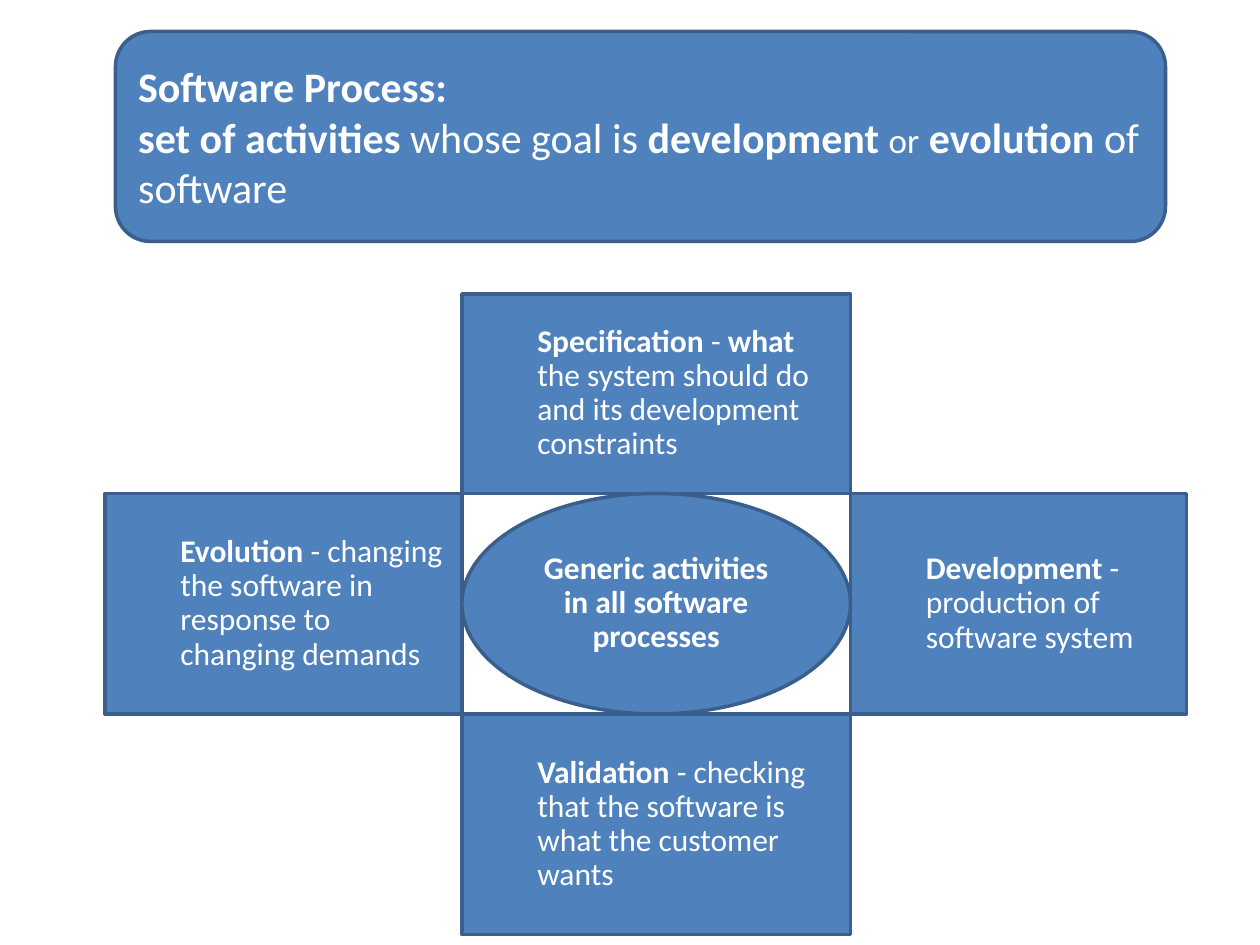
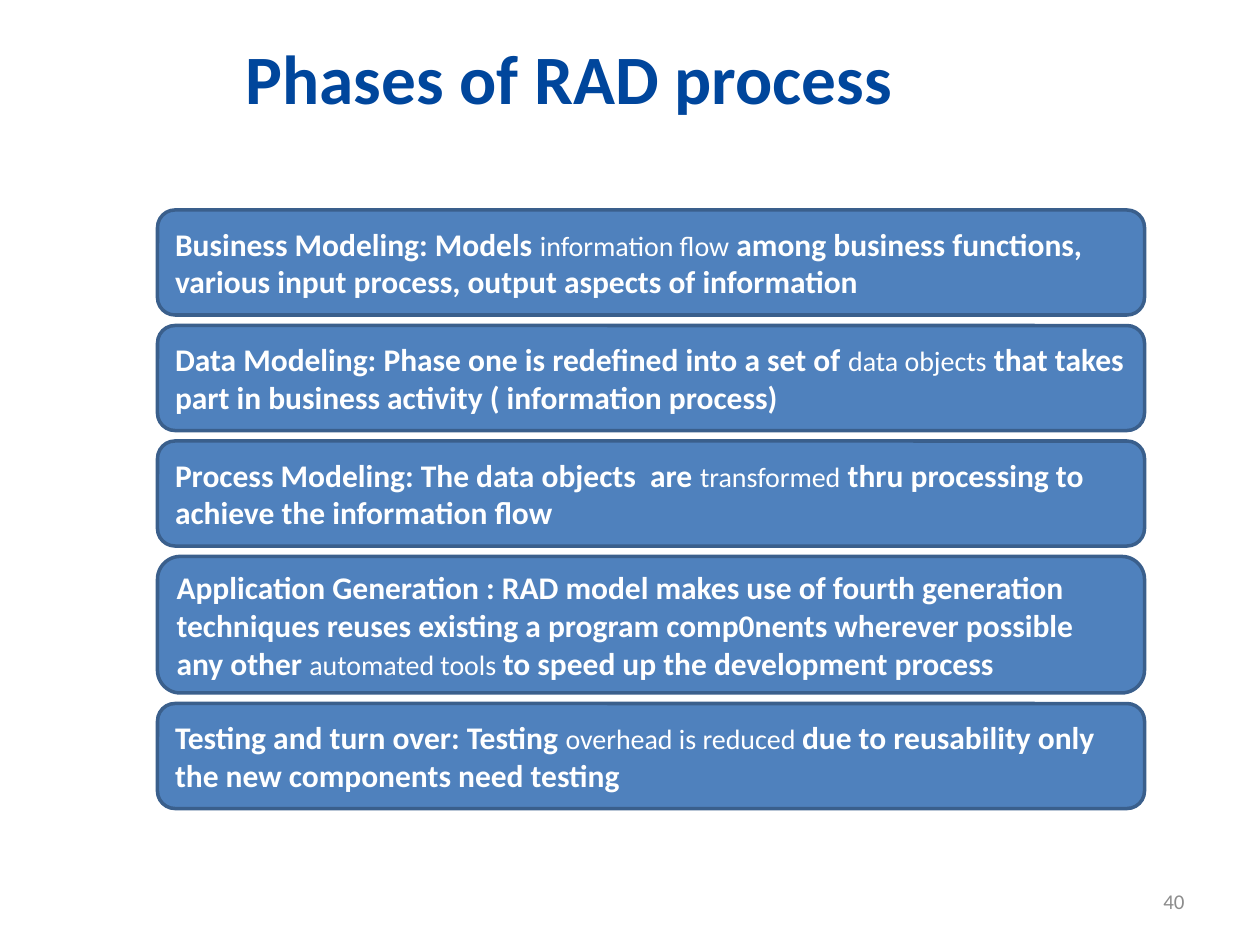
from pptx import Presentation
from pptx.dml.color import RGBColor
from pptx.enum.shapes import MSO_SHAPE
from pptx.enum.text import MSO_ANCHOR, PP_ALIGN
from pptx.util import Emu, Pt

ROUNDED = MSO_SHAPE.ROUNDED_RECTANGLE
RECTANGLE = MSO_SHAPE.RECTANGLE
OVAL = MSO_SHAPE.OVAL
MIDDLE = MSO_ANCHOR.MIDDLE
LEFT, CENTER, RIGHT = PP_ALIGN.LEFT, PP_ALIGN.CENTER, PP_ALIGN.RIGHT

EMU_PER_PX = 7620  # 120 px to the inch
FONT = "Calibri"
FILL, OUTLINE = "4F81BD", "3A5F8C"
WHITE, TITLE_BLUE, NUMBER_GREY = "FFFFFF", "00469C", "8C8C8C"
TITLE_ONLY, BLANK = 5, 6

# Text is split at "|" into runs that are bold and plain in turn
HEADER_LINES = [
    "Software Process:",
    "set of activities| whose goal is |development |or| evolution| of software",
]
SPECIFICATION = ("Specification| - |what| the system should do and its "
                 "development constraints")
DEVELOPMENT = "Development| - production of software system"
VALIDATION = "Validation| - checking that the software is what the customer wants"
EVOLUTION = "Evolution| - changing the software in response to changing demands"
PHASES = [
    ("Business Modeling: Models |information flow| among business functions, "
     "various input process, output aspects of information", 100),
    ("Data Modeling: Phase one is redefined into a set of |data objects| that "
     "takes part in business activity ( information process)", 100),
    ("Process Modeling: The data objects  are |transformed| thru processing to "
     "achieve the information flow", 100),
    ("Application Generation : RAD model makes use of fourth generation "
     "techniques reuses existing a program comp0nents wherever possible any "
     "other |automated tools |to speed up the development process", 130),
    ("Testing and turn over: Testing |overhead is reduced |due to reusability "
     "only the new components need testing", 100),
]


def color(hex_string):
    return RGBColor.from_string(hex_string)


def emu(box):
    return [Emu(length * EMU_PER_PX) for length in box]


def format_run(run, size, hex_color, bold):
    run.font.name = FONT
    run.font.size = Pt(size)
    run.font.color.rgb = color(hex_color)
    run.font.bold = bold


def write_runs(paragraph, text, size, plain_size):
    for index, part in enumerate(text.split("|")):
        bold = index % 2 == 0
        run = paragraph.add_run()
        run.text = part
        format_run(run, size if bold else plain_size, WHITE, bold)


def add_panel(slide, kind, box, lines, size=18, plain_size=18, align=LEFT):
    """Draw a filled, outlined shape and return its paragraphs."""
    shape = slide.shapes.add_shape(kind, *emu(box))
    shape.shadow.inherit = False
    shape.fill.solid()
    shape.fill.fore_color.rgb = color(FILL)
    shape.line.color.rgb = color(OUTLINE)
    shape.line.width = Pt(2)
    frame = shape.text_frame
    frame.word_wrap = True
    frame.vertical_anchor = MIDDLE
    for index, line in enumerate(lines):
        paragraph = frame.add_paragraph() if index else frame.paragraphs[0]
        paragraph.alignment = align
        write_runs(paragraph, line, size, plain_size)
    return frame.paragraphs


def add_activity(slide, box, text):
    paragraph = add_panel(slide, RECTANGLE, box, [text])[0]
    paragraph.level = 1
    paragraph.line_spacing = 0.9
    properties = paragraph._p.get_or_add_pPr()
    properties.set("marL", str(60 * EMU_PER_PX))
    properties.set("indent", "0")


def add_activity_cross(slide, box):
    """Place four activities around an ellipse in the centre of the box."""
    left, top, width, height = box
    center_left, center_top = left + 340, top + 190
    center_width, center_height = 370, 210
    center_right = center_left + center_width
    center_bottom = center_top + center_height
    add_activity(slide, (center_left, top, center_width, center_top - top),
                 SPECIFICATION)
    add_activity(slide, (center_right, center_top,
                         left + width - center_right, center_height), DEVELOPMENT)
    add_activity(slide, (center_left, center_bottom, center_width,
                         top + height - center_bottom), VALIDATION)
    add_activity(slide, (left, center_top, center_left - left, center_height),
                 EVOLUTION)
    center = add_panel(slide, OVAL,
                       (center_left, center_top, center_width, center_height),
                       ["Generic activities in all software processes"],
                       align=CENTER)[0]
    center.line_spacing = 0.9


def add_phase_stack(slide, box):
    """Stack the phase bars downwards with equal gaps."""
    left, top, width = box
    for text, height in PHASES:
        add_panel(slide, ROUNDED, (left, top, width, height), [text],
                  plain_size=16)
        top += height + 10


def add_title(slide, box, text):
    title = slide.shapes.title
    title.left, title.top, title.width, title.height = emu(box)
    frame = title.text_frame
    frame.text = text
    frame.vertical_anchor = MIDDLE
    frame.paragraphs[0].alignment = CENTER
    format_run(frame.paragraphs[0].runs[0], 39.6, TITLE_BLUE, True)


def add_slide_number(slide, box, number):
    frame = slide.shapes.add_textbox(*emu(box)).text_frame
    frame.word_wrap = True
    frame.vertical_anchor = MIDDLE
    frame.text = str(number)
    frame.paragraphs[0].alignment = RIGHT
    format_run(frame.paragraphs[0].runs[0], 12, NUMBER_GREY, False)


def build_activities_slide(presentation):
    slide = presentation.slides.add_slide(presentation.slide_layouts[BLANK])
    header = add_panel(slide, ROUNDED, (110, 30, 1000, 200), HEADER_LINES,
                       size=24, plain_size=24)
    header[1].runs[3].font.size = Pt(20)  # the smaller "or"
    add_activity_cross(slide, (100, 280, 1030, 610))


def build_phases_slide(presentation):
    slide = presentation.slides.add_slide(presentation.slide_layouts[TITLE_ONLY])
    add_title(slide, (32, 13, 1020, 120), "Phases of RAD process")
    add_phase_stack(slide, (150, 200, 940))
    add_slide_number(slide, (860, 834, 280, 48), 40)


def main():
    presentation = Presentation()
    presentation.slide_width, presentation.slide_height = emu((1200, 900))
    build_activities_slide(presentation)
    build_phases_slide(presentation)
    presentation.save("out.pptx")


if __name__ == "__main__":
    main()
